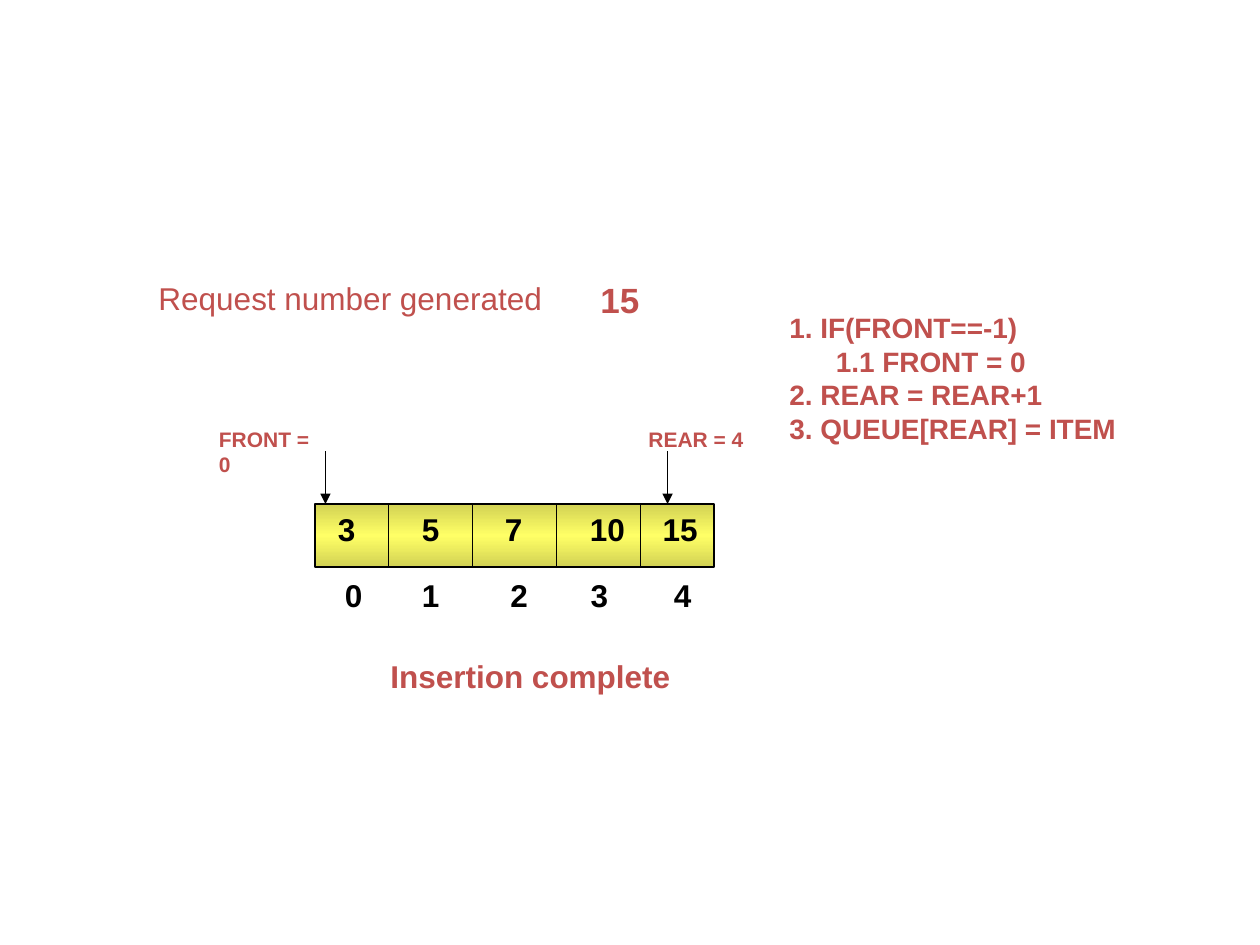
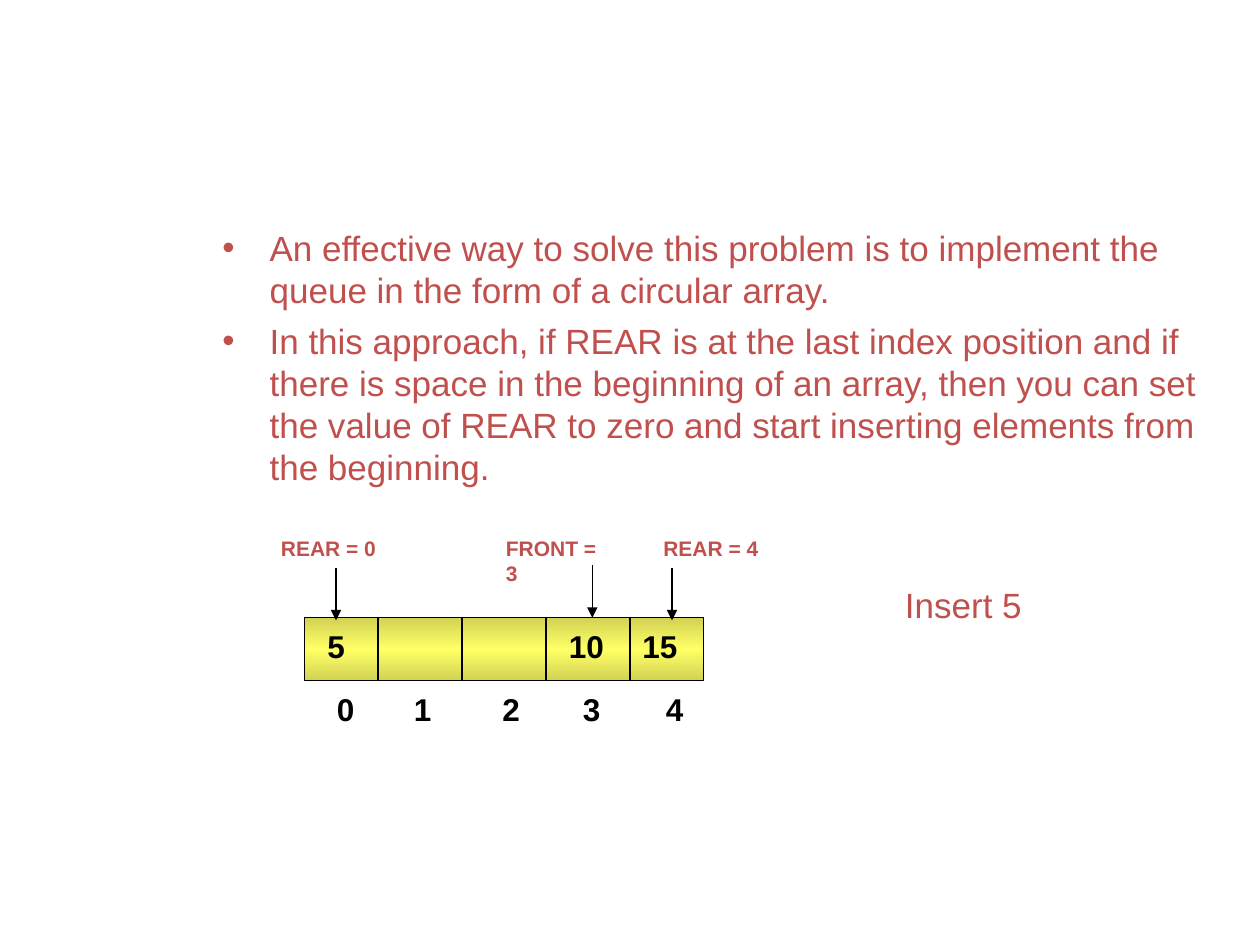
from copy import deepcopy

from lxml.etree import SubElement
from pptx import Presentation
from pptx.dml.color import RGBColor
from pptx.enum.shapes import MSO_CONNECTOR, MSO_SHAPE
from pptx.oxml.ns import qn
from pptx.util import Pt

FONT = "Arial"
RED = "C0504D"
BLACK = "000000"
BAR_EDGE = "D2D254"
BAR_MIDDLE = "FFFF66"

BAR_WIDTH, BAR_HEIGHT = 228, 36
FIRST_CELL, CELL = 42, 48
INDEX_LEFTS = (10, 54, 104.5, 150.5, 198)
INDEX_TOP = 37.5
DIGIT_WIDTHS = {1: 24.5, 2: 34.5}


def color(hex_value):
    return RGBColor.from_string(hex_value)


def add_text(page, box, lines, size, hue=RED, bold=False, wrap=True):
    left, top, width, height = box
    frame = page.shapes.add_textbox(Pt(left), Pt(top), Pt(width), Pt(height)).text_frame
    frame.word_wrap = wrap
    frame.text = "\n".join(lines)
    for para in frame.paragraphs:
        for span in para.runs:
            span.font.name = FONT
            span.font.size = Pt(size)
            span.font.bold = bold
            span.font.color.rgb = color(hue)
    return frame


def add_bullets(page, box, lines, size):
    frame = add_text(page, box, lines, size)
    for number, para in enumerate(frame.paragraphs):
        properties = para._p.get_or_add_pPr()
        properties.set("marL", str(Pt(27)))
        properties.set("indent", str(-Pt(27)))
        SubElement(properties, qn("a:buFont"), typeface=FONT)
        SubElement(properties, qn("a:buChar"), char="•")
        if number:
            para.space_before = Pt(5)


def add_line(page, start, end, arrow=False):
    line = page.shapes.add_connector(
        MSO_CONNECTOR.STRAIGHT, Pt(start[0]), Pt(start[1]), Pt(end[0]), Pt(end[1]))
    line.line.color.rgb = color(BLACK)
    line.line.width = Pt(0.75)
    if arrow:
        SubElement(line.line._get_or_add_ln(), qn("a:tailEnd"), type="triangle")
    SubElement(line._element.spPr, qn("a:effectLst"))


def add_bar(page, left, top):
    """Draw the empty array with its cell dividers."""
    bar = page.shapes.add_shape(MSO_SHAPE.ROUNDED_RECTANGLE, Pt(left), Pt(top),
                                Pt(BAR_WIDTH), Pt(BAR_HEIGHT))
    bar.adjustments[0] = 0
    bar.shadow.inherit = False
    bar.line.color.rgb = color(BLACK)
    bar.line.width = Pt(0.75)
    bar.fill.gradient()
    bar.fill.gradient_angle = 90
    stop_list = bar._element.spPr.find(qn("a:gradFill")).find(qn("a:gsLst"))
    stop_list.insert(1, deepcopy(stop_list[0]))
    stops = zip(bar.fill.gradient_stops, (0, 0.5, 1), (BAR_EDGE, BAR_MIDDLE, BAR_EDGE))
    for stop, position, hue in stops:
        stop.position = position
        stop.color.rgb = color(hue)
    for divider in range(4):
        x = left + FIRST_CELL + divider * CELL
        add_line(page, (x, top), (x, top + BAR_HEIGHT))


def add_number(page, left, top, number):
    add_text(page, (left, top, DIGIT_WIDTHS[len(number)], 29), [number], 18,
             BLACK, bold=True, wrap=False)


def add_queue(page, left, top, values, value_top, pointers, label_top, index_shift=0):
    """Draw the queue; values are (x, number), pointers (label x, arrow x, arrow end, label)."""
    add_bar(page, left, top)
    for x, number in values:
        add_number(page, left + x, top + value_top, number)
    for index, x in enumerate(INDEX_LEFTS):
        add_number(page, left + x + index_shift, top + INDEX_TOP, str(index))
    for label_x, arrow_x, arrow_end, label in pointers:
        width = 75.5 if label.startswith("FRONT") else 68.5
        add_text(page, (left + label_x, top + label_top, width, 21.5), [label], 12,
                 bold=True, wrap=False)
        x, end = left + arrow_x, top + arrow_end
        add_line(page, (x, end - 30), (x, end), arrow=True)


def build_insertion(page):
    add_text(page, (83.5, 156, 240.5, 29), ["Request number generated"], 18)
    add_text(page, (336, 155.5, 48, 31.5), ["15"], 20, bold=True)
    add_text(page, (444, 174, 276, 122), [
        "1. IF(FRONT==-1)",
        "      1.1 FRONT = 0",
        "2. REAR = REAR+1",
        "3. QUEUE[REAR] = ITEM",
    ], 16, bold=True)
    add_queue(page, 180, 288,
              values=[(6, "3"), (54, "5"), (101.5, "7"), (150, "10"), (191.5, "15")],
              value_top=0,
              pointers=[(-62, 6, 0, "FRONT = 0"), (183.5, 201.5, 0, "REAR = 4")],
              label_top=-48)
    add_text(page, (216, 372, 234, 29), ["Insertion complete"], 18, bold=True)


def build_circular_array(page):
    add_bullets(page, (120, 126, 576, 360), [
        "An effective way to solve this problem is to implement the queue in the form "
        "of a circular array.",
        "In this approach, if REAR is at the last index position and if there is space "
        "in the beginning of an array, then you can set the value of REAR to zero and "
        "start inserting elements from the beginning.",
    ], 20)
    add_queue(page, 174, 353,
              values=[(6, "5"), (144, "10"), (186, "15")],
              value_top=1.5,
              pointers=[(-20.5, 18, 1.5, "REAR = 0"), (108, 164.5, 0, "FRONT = 3"),
                        (198, 210, 1.5, "REAR = 4")],
              label_top=-50.5, index_shift=1.5)
    add_text(page, (510, 330, 168, 31.5), ["Insert 5"], 20)


def main():
    deck = Presentation()
    deck.slide_width, deck.slide_height = Pt(720), Pt(540)
    for build in (build_insertion, build_circular_array):
        build(deck.slides.add_slide(deck.slide_layouts[6]))
    deck.save("out.pptx")


if __name__ == "__main__":
    main()
